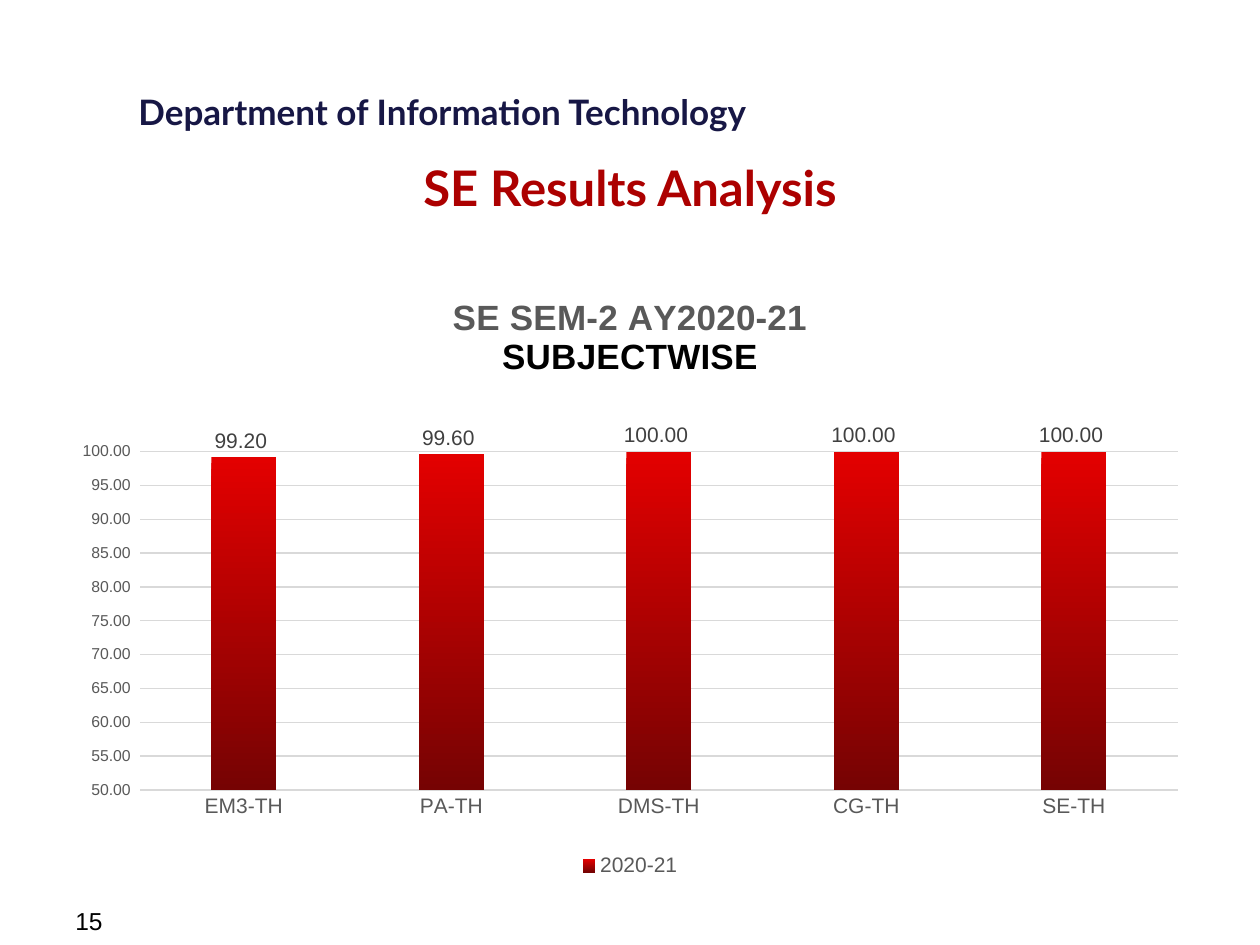
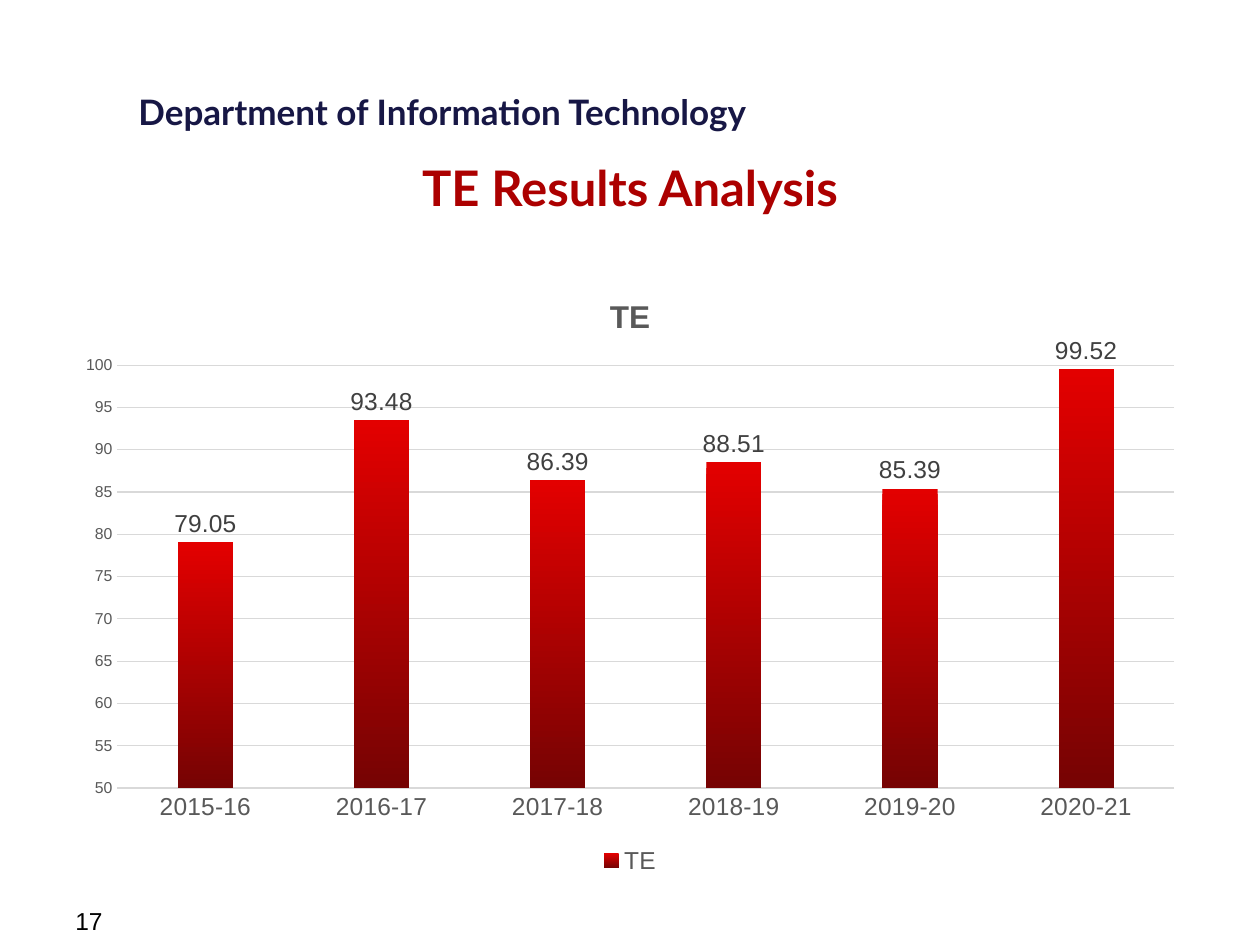
"""Build two result-analysis slides, each with a column chart."""
from lxml import etree
from pptx import Presentation
from pptx.chart.data import CategoryChartData
from pptx.dml.color import RGBColor
from pptx.enum.chart import XL_CHART_TYPE as CT, XL_LABEL_POSITION as LP
from pptx.enum.chart import XL_LEGEND_POSITION as LEG, XL_TICK_MARK as TICK
from pptx.enum.text import PP_ALIGN as AL
from pptx.oxml import parse_xml
from pptx.oxml.ns import nsdecls, qn
from pptx.util import Inches, Pt

NAVY = RGBColor(0x17, 0x17, 0x45)
RED = RGBColor(0xAC, 0x00, 0x00)
BAR_TOP = RGBColor(0xE3, 0x00, 0x00)
BAR_BOTTOM = RGBColor(0x76, 0x03, 0x03)
BLACK = RGBColor(0x00, 0x00, 0x00)
GREY = RGBColor(0x59, 0x59, 0x59)
DARK = RGBColor(0x40, 0x40, 0x40)
RULE = RGBColor(0xD9, 0xD9, 0xD9)

prs = Presentation()
prs.slide_width, prs.slide_height = Inches(10), Inches(7.5)
MARGIN = Inches(0.5)
CONTENT = prs.slide_width - 2 * MARGIN

SLIDES = [
    dict(title="SE Results Analysis", number="15", top=2.17,
         heading=[("SE SEM-2 AY2020-21", GREY), ("SUBJECTWISE", BLACK)],
         heading_size=20, size=12, fmt="0.00_ ", series="2020-21",
         plot=(0.068, 0.293, 0.915, 0.556),
         data={"EM3-TH": 99.2, "PA-TH": 99.6, "DMS-TH": 100,
               "CG-TH": 100, "SE-TH": 100}),
    dict(title="TE Results Analysis", number="17", top=2.15,
         heading=[("TE", GREY)],
         heading_size=18, size=14, fmt="General", series="TE",
         plot=(0.048, 0.155, 0.932, 0.695),
         data={"2015-16": 79.05, "2016-17": 93.48, "2017-18": 86.39,
               "2018-19": 88.51, "2019-20": 85.39, "2020-21": 99.52}),
]


def style(font, size, color, bold=False, name="Arial"):
    font.size, font.bold, font.name = Pt(size), bold, name
    font.color.rgb = color


def add_text(s, text, x, y, w, h, align=AL.LEFT, wrap=True, **fmt):
    tf = s.shapes.add_textbox(x, y, w, h).text_frame
    tf.word_wrap = wrap
    p = tf.paragraphs[0]
    p.alignment = align
    r = p.add_run()
    r.text = text
    style(r.font, **fmt)


for spec_ in SLIDES:
    s = prs.slides.add_slide(prs.slide_layouts[6])
    add_text(s, "Department of Information Technology", 2 * MARGIN, Inches(0.67),
             Inches(5.35), Inches(0.44), wrap=False,
             size=20, color=NAVY, bold=True, name="Lato")
    add_text(s, spec_["title"], MARGIN, Inches(1.2), CONTENT, Inches(0.48),
             align=AL.CENTER, size=28, color=RED, bold=True, name="Lato")
    add_text(s, spec_["number"], MARGIN, Inches(7.14), Inches(2.33), Inches(0.27),
             size=14, color=BLACK)

    data = CategoryChartData(number_format=spec_["fmt"])
    data.categories = list(spec_["data"])
    data.add_series(spec_["series"], list(spec_["data"].values()))
    chart = s.shapes.add_chart(CT.COLUMN_CLUSTERED, MARGIN, Inches(spec_["top"]),
                               CONTENT, Inches(4.83), data).chart
    style(chart.font, 10, BLACK)

    tf = chart.chart_title.text_frame
    for i, (line, color) in enumerate(spec_["heading"]):
        p = tf.add_paragraph() if i else tf.paragraphs[0]
        r = p.add_run()
        r.text = line
        style(r.font, spec_["heading_size"], color, bold=True)

    chart.has_legend = True
    chart.legend.position = LEG.BOTTOM
    chart.legend.include_in_layout = False
    style(chart.legend.font, spec_["size"], GREY)

    cat, val = chart.category_axis, chart.value_axis
    for axis, size in ((cat, spec_["size"]), (val, 9)):
        axis.major_tick_mark = axis.minor_tick_mark = TICK.NONE
        style(axis.tick_labels.font, size, GREY)
    val.minimum_scale, val.maximum_scale, val.major_unit = 50, 100, 5
    val.tick_labels.number_format = spec_["fmt"]
    val.tick_labels.number_format_is_linked = False
    val.format.line.fill.background()
    for line in (cat.format.line, val.major_gridlines.format.line):
        line.color.rgb, line.width = RULE, Pt(0.75)

    plot = chart.plots[0]
    plot.gap_width, plot.overlap, plot.vary_by_categories = 219, -27, False
    fill = plot.series[0].format.fill
    fill.gradient()
    fill.gradient_angle = 270
    for stop, color, pos in zip(fill.gradient_stops, (BAR_TOP, BAR_BOTTOM), (0, 1)):
        stop.color.rgb, stop.position = color, pos

    plot.has_data_labels = True
    labels = plot.data_labels
    labels.show_value, labels.position = True, LP.OUTSIDE_END
    labels.number_format, labels.number_format_is_linked = spec_["fmt"], False
    style(labels.font, spec_["size"], DARK)

    area = chart.element.find(".//" + qn("c:plotArea"))
    for old in area.findall(qn("c:layout")):
        area.remove(old)
    layout = parse_xml(f"<c:layout {nsdecls('c')}><c:manualLayout/></c:layout>")
    settings = [("layoutTarget", "inner"), ("xMode", "edge"), ("yMode", "edge")]
    for tag, value in settings + list(zip("xywh", spec_["plot"])):
        etree.SubElement(layout[0], qn("c:" + tag)).set("val", str(value))
    area.insert(0, layout)

prs.save("out.pptx")
